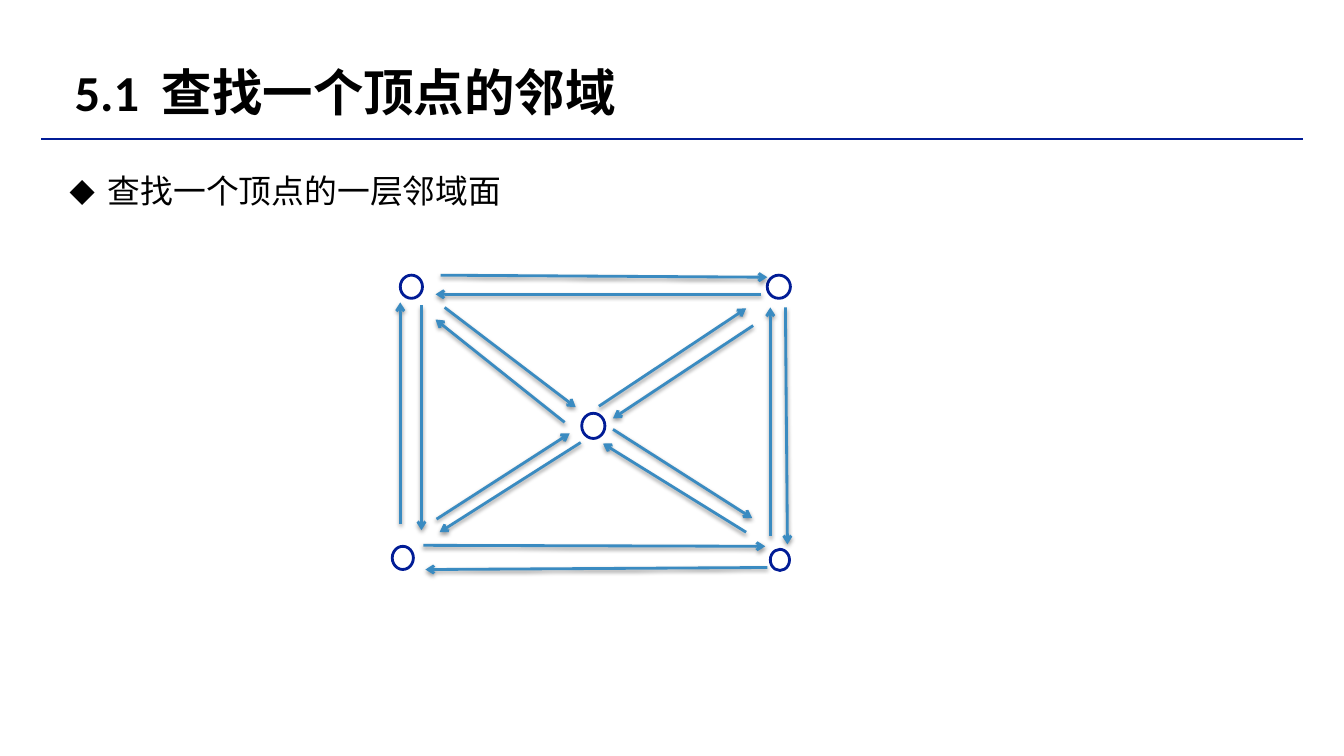
from dataclasses import dataclass

from lxml.etree import SubElement
from pptx import Presentation
from pptx.dml.color import RGBColor
from pptx.enum.shapes import MSO_CONNECTOR, MSO_SHAPE
from pptx.enum.text import MSO_ANCHOR, MSO_AUTO_SIZE, PP_ALIGN
from pptx.oxml.ns import qn
from pptx.util import Inches, Pt


@dataclass(frozen=True)
class Theme:
    """Colours, fonts and sizes of the slide."""

    ink: RGBColor = RGBColor(0x00, 0x00, 0x00)
    navy: RGBColor = RGBColor(0x01, 0x1C, 0x96)
    blue: RGBColor = RGBColor(0x3A, 0x8B, 0xC1)
    latin_font: str = "Calibri"
    chinese_font: str = "Noto Sans CJK SC"
    title_size: float = 36
    body_size: float = 23.4
    rule_width: float = 1.5
    mesh_width: float = 2


THEME = Theme()
SLIDE_WIDTH, SLIDE_HEIGHT = 13.33, 7.5
MESH_COLUMNS, MESH_ROWS = 42, 30

VERTICES = [
    (1.7, 0.3, 2.2, 2.3),
    (38.1, 0.3, 2.3, 2.3),
    (19.7, 14, 2.3, 2.5),
    (0.9, 27.2, 2.1, 2.3),
    (38.4, 27.5, 1.9, 2.1),
]

HALF_EDGES = {
    "top": [(5.7, 0.3, 38.1, 0.5), (37.5, 2.2, 5.2, 2.2)],
    "right": [(39.9, 3.5, 40.1, 27), (38.4, 26.2, 38.4, 3.5)],
    "bottom": [(4, 27.1, 37.9, 27.2), (38.1, 29.3, 4.2, 29.5)],
    "left": [(3.8, 3.3, 3.8, 25.6), (1.7, 25, 1.7, 3)],
    "upper right": [(21.4, 13.3, 36, 3.6), (36.7, 5.3, 22.8, 14.5)],
    "upper left": [(6.1, 3.5, 19.1, 13.4), (18, 14.9, 5.2, 4.7)],
    "lower left": [(5.3, 24.5, 18.5, 16), (19.6, 16.9, 5.6, 25.8)],
    "lower right": [(36, 25.8, 21.8, 17), (22.8, 15.6, 36.6, 24.4)],
}


def add_run(paragraph, text, size, latin_font, bold=False):
    """Add one formatted run with its Chinese font and return it."""
    run = paragraph.add_run()
    run.text = text
    run.font.size = Pt(size)
    run.font.bold = bold
    run.font.color.rgb = THEME.ink
    run.font.name = latin_font
    SubElement(run.font._element, qn("a:ea"), typeface=THEME.chinese_font)
    return run


def prepare_frame(shape, box, inset):
    """Place a text shape in its box and return its first paragraph."""
    shape.left, shape.top, shape.width, shape.height = map(Inches, box)
    frame = shape.text_frame
    frame.word_wrap = True
    frame.auto_size = MSO_AUTO_SIZE.NONE
    frame.vertical_anchor = MSO_ANCHOR.MIDDLE
    frame.margin_left = frame.margin_right = Inches(inset)
    frame.margin_top = frame.margin_bottom = Inches(inset)
    paragraph = frame.paragraphs[0]
    paragraph.alignment = PP_ALIGN.LEFT
    return paragraph


def add_line(slide, start, end, color, width):
    """Draw a straight line without shadow and return its properties."""
    connector = slide.shapes.add_connector(
        MSO_CONNECTOR.STRAIGHT, *map(Inches, (*start, *end))
    )
    connector.line.color.rgb = color
    connector.line.width = Pt(width)
    properties = connector._element.spPr
    SubElement(properties, qn("a:effectLst"))
    return properties


def add_heading(slide, box):
    """Fill the title placeholder with the section number and name."""
    paragraph = prepare_frame(slide.shapes.title, box, 0.05)
    for text in ("5.1", " ", "查找一个顶点的邻域"):
        run = add_run(paragraph, text, THEME.title_size, THEME.latin_font, True)
        if text == " ":
            run.font._element.set("spc", "800")


def add_bullet_point(slide, box):
    """Add the bulleted statement below the rule."""
    shape = slide.shapes.add_textbox(*map(Inches, box))
    paragraph = prepare_frame(shape, box, 0)
    properties = paragraph._p.get_or_add_pPr()
    properties.set("marL", str(Inches(0.38)))
    properties.set("indent", str(Inches(-0.38)))
    SubElement(properties, qn("a:buFont"), typeface=THEME.latin_font)
    SubElement(properties, qn("a:buChar"), char="◆")
    paragraph.line_spacing = 2.0
    add_run(paragraph, "查找一个顶点的一层邻域面", THEME.body_size, THEME.chinese_font)


def add_half_edge(slide, start, end):
    """Draw one shadowed arrow of the mesh."""
    properties = add_line(slide, start, end, THEME.blue, THEME.mesh_width)
    SubElement(properties.find(qn("a:ln")), qn("a:tailEnd"), type="arrow")
    shadow = SubElement(
        properties.find(qn("a:effectLst")),
        qn("a:outerShdw"),
        blurRad=str(Pt(3)),
        dist=str(Pt(1.6)),
        dir="5400000",
        rotWithShape="0",
    )
    color = SubElement(shadow, qn("a:srgbClr"), val=str(THEME.ink))
    SubElement(color, qn("a:alpha"), val="38000")


def add_mesh(slide, box):
    """Draw the vertices and paired half-edges on a grid in the box."""
    left, top, width, height = box
    column, row = width / MESH_COLUMNS, height / MESH_ROWS

    def place(x, y):
        """Turn a grid position into a slide position."""
        return left + x * column, top + y * row

    for x, y, columns, rows in VERTICES:
        bounds = (*place(x, y), columns * column, rows * row)
        vertex = slide.shapes.add_shape(MSO_SHAPE.OVAL, *map(Inches, bounds))
        vertex.shadow.inherit = False
        vertex.fill.background()
        vertex.line.color.rgb = THEME.navy
        vertex.line.width = Pt(THEME.mesh_width)
    for pair in HALF_EDGES.values():
        for start_x, start_y, end_x, end_y in pair:
            add_half_edge(slide, place(start_x, start_y), place(end_x, end_y))


def main():
    """Build the slide and save it."""
    presentation = Presentation()
    presentation.slide_width = Inches(SLIDE_WIDTH)
    presentation.slide_height = Inches(SLIDE_HEIGHT)
    slide = presentation.slides.add_slide(presentation.slide_layouts[5])
    add_line(slide, (0.41, 1.38), (12.92, 1.38), THEME.navy, THEME.rule_width)
    add_bullet_point(slide, (0.69, 1.34, 12.01, 0.71))
    add_heading(slide, (0.69, 0.58, 7.63, 0.66))
    add_mesh(slide, (3.8, 2.7, MESH_COLUMNS / 10, MESH_ROWS / 10))
    presentation.save("out.pptx")


if __name__ == "__main__":
    main()
